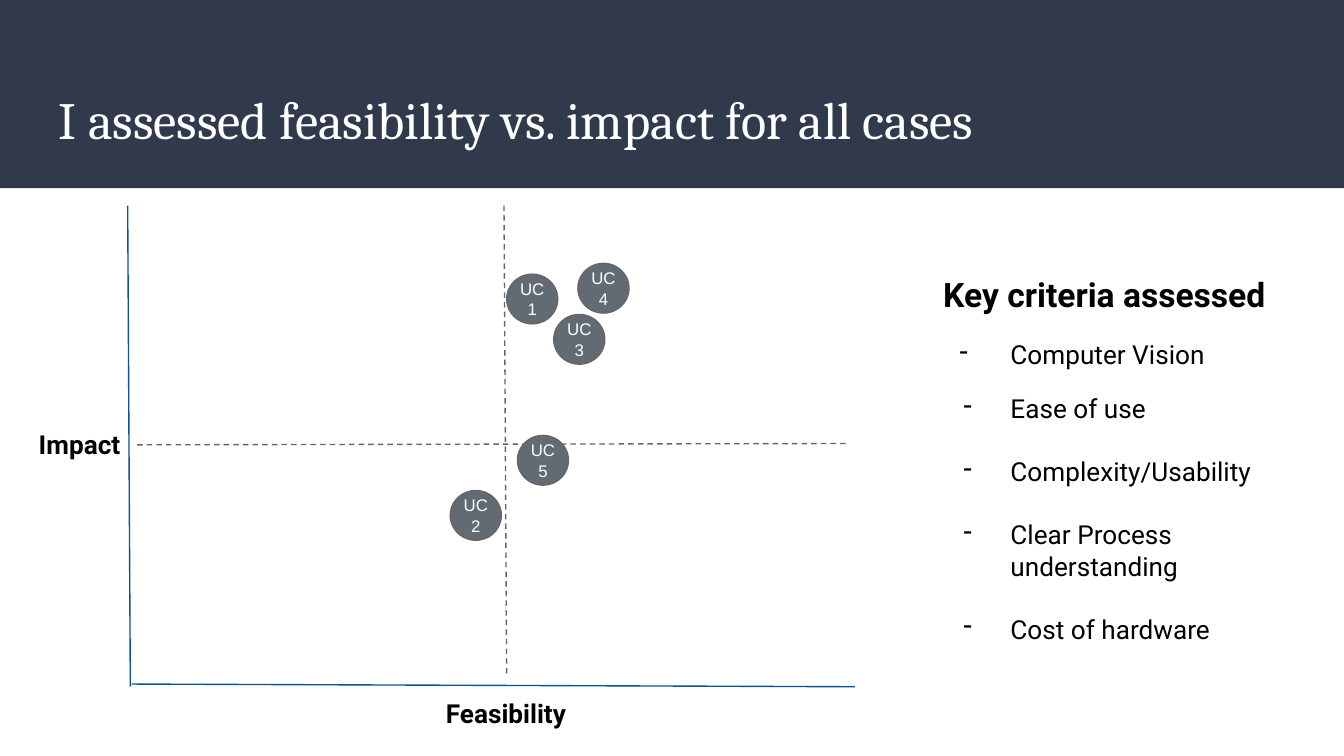
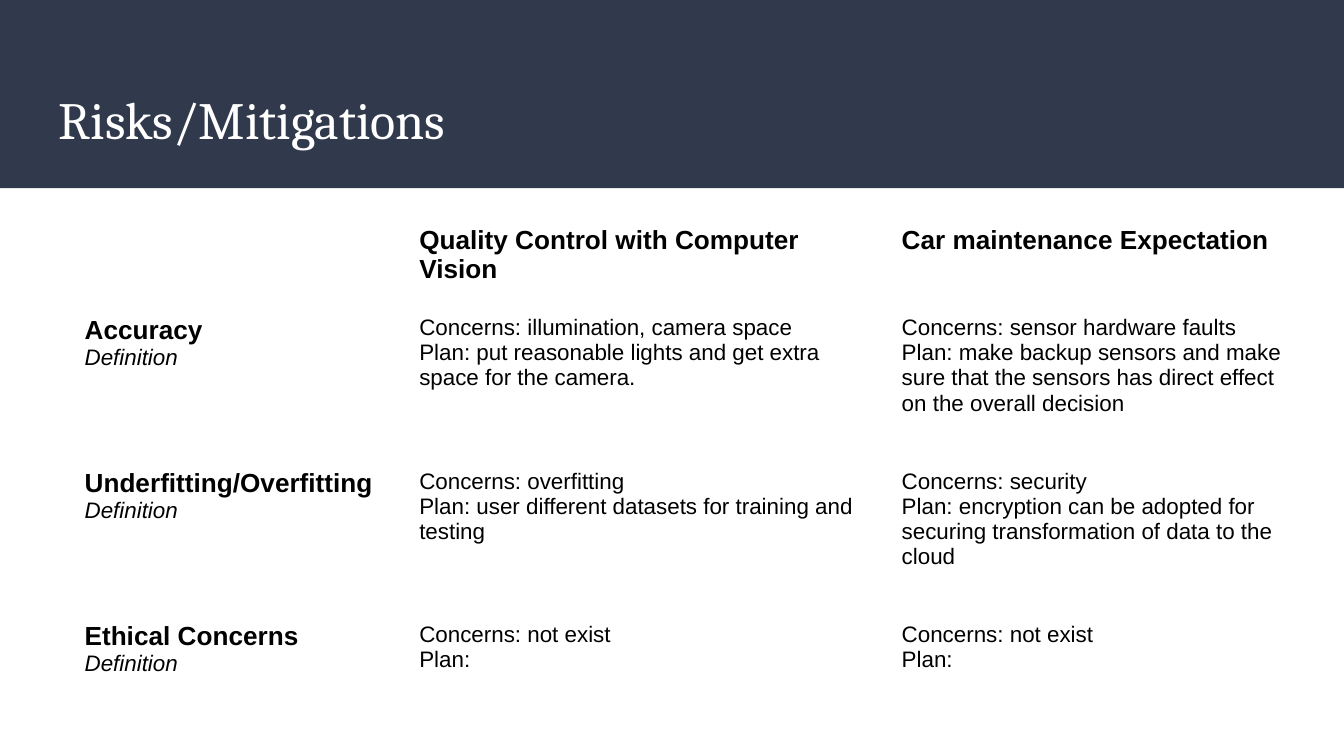
from pptx import Presentation
from pptx import util as u
from pptx.dml.color import RGBColor
from pptx.enum import dml, shapes, text
from pptx.oxml import xmlchemy
from pptx.oxml.ns import qn

NAVY = RGBColor(0x31, 0x39, 0x4D)
SLATE = RGBColor(0x62, 0x6B, 0x73)
GRAY = RGBColor(0x66, 0x66, 0x66)
BLUE = RGBColor(0x0B, 0x53, 0x94)
WHITE = RGBColor(0xFF, 0xFF, 0xFF)
BLACK = RGBColor(0x00, 0x00, 0x00)

COLUMNS, ROWS = 100, 56.25
WIDTH, HEIGHT = u.Inches(10), u.Inches(5.625)
INSET = 0.1

CENTER = text.PP_ALIGN.CENTER


def column(count):
    return round(WIDTH * count / COLUMNS)


def row(count):
    return round(HEIGHT * count / ROWS)


def write(frame, paragraphs, size=14, font="Arial", color=BLACK, bold=False,
          align=None, inset=INSET):
    if isinstance(paragraphs, str):
        paragraphs = [paragraphs]
    frame.word_wrap = True
    for side in ("left", "top", "right", "bottom"):
        setattr(frame, f"margin_{side}", u.Inches(inset))
    for index, content in enumerate(paragraphs):
        paragraph = frame.paragraphs[0] if index == 0 else frame.add_paragraph()
        paragraph.alignment = align
        lines = [content] if isinstance(content, str) else content
        for number, line in enumerate(lines):
            words, changes = (line, {}) if isinstance(line, str) else line
            if number:
                paragraph.add_line_break()
            run = paragraph.add_run()
            run.text = words
            run.font.name = font
            run.font.size = u.Pt(changes.get("size", size))
            run.font.bold = changes.get("bold", bold)
            run.font.italic = changes.get("italic", False)
            run.font.color.rgb = color


def add_dash(paragraph, hanging, space_before):
    paragraph.space_before = u.Pt(space_before)
    properties = paragraph._p.get_or_add_pPr()
    properties.set("marL", str(u.Inches(0.5)))
    properties.set("indent", str(-u.Inches(hanging)))
    bullet = xmlchemy.OxmlElement("a:buChar")
    bullet.set("char", "-")
    properties.append(bullet)


class Deck:
    def __init__(self):
        self.presentation = Presentation()
        self.presentation.slide_width = WIDTH
        self.presentation.slide_height = HEIGHT
        self.slide = None

    def start(self, title):
        layout = self.presentation.slide_layouts[6]
        self.slide = self.presentation.slides.add_slide(layout)
        self.shape(shapes.MSO_SHAPE.RECTANGLE, 0, 0, COLUMNS, 14, NAVY)
        self.label(title, 3.4, 5.5, 93.2, 6.8, size=28, font="Cambria", color=WHITE)

    def shape(self, kind, left, top, width, height, fill, outline=None):
        shape = self.slide.shapes.add_shape(
            kind, column(left), row(top), column(width), row(height))
        shape.shadow.inherit = False
        shape.fill.solid()
        shape.fill.fore_color.rgb = fill
        if outline is None:
            shape.line.fill.background()
        else:
            shape.line.color.rgb = outline
            shape.line.width = u.Pt(0.75)
        return shape

    def label(self, content, left, top, width, height, **style):
        box = self.slide.shapes.add_textbox(
            column(left), row(top), column(width), row(height))
        write(box.text_frame, content, **style)
        return box.text_frame

    def line(self, start, end, color, dashed=False):
        connector = self.slide.shapes.add_connector(
            shapes.MSO_CONNECTOR.STRAIGHT,
            column(start[0]), row(start[1]), column(end[0]), row(end[1]))
        connector.line.color.rgb = color
        connector.line.width = u.Pt(0.75)
        if dashed:
            connector.line.dash_style = dml.MSO_LINE.DASH
        properties = connector._element.find(qn("p:spPr"))
        properties.append(xmlchemy.OxmlElement("a:effectLst"))

    def bubble(self, content, left, top):
        shape = self.shape(shapes.MSO_SHAPE.OVAL, left, top, 3.8, 3.7, SLATE, GRAY)
        shape.text_frame.vertical_anchor = text.MSO_ANCHOR.MIDDLE
        write(shape.text_frame, [content], size=9, color=WHITE, align=CENTER, inset=0)

    def table(self, cells, left, top, widths, heights):
        table = self.slide.shapes.add_table(
            len(heights), len(widths), column(left), row(top),
            column(sum(widths)), row(sum(heights))).table
        table.first_row = table.horz_banding = False
        for index, width in enumerate(widths):
            table.columns[index].width = column(width)
        for index, height in enumerate(heights):
            table.rows[index].height = row(height)
        for i, line in enumerate(cells):
            for j, content in enumerate(line):
                cell = table.cell(i, j)
                cell.fill.background()
                for side in ("left", "top", "right", "bottom"):
                    setattr(cell, f"margin_{side}", u.Inches(INSET))
                if content:
                    heading = i == 0 or j == 0
                    write_cell(cell, content, 14 if heading else 12, heading)


def write_cell(cell, content, size, bold):
    frame = cell.text_frame
    write(frame, content, size=size, bold=bold)
    body = frame._txBody.find(qn("a:bodyPr"))
    body.attrib.clear()


def build_assessment(deck):
    deck.start("I assessed feasibility vs. impact for all cases")
    deck.line((37.5, 15.3), (37.7, 50.2), GRAY, dashed=True)
    deck.line((10.2, 33.1), (63.1, 33), GRAY, dashed=True)

    deck.label("Key criteria assessed", 69.2, 19.4, 31, 5,
               size=18, font="Roboto", bold=True)
    criteria = ["Computer Vision", "Ease of use", "Complexity/Usability",
                "Clear Process understanding", "Cost of hardware"]
    frame = deck.label(criteria, 69.2, 24.2, 27, 25, font="Roboto")
    for index, paragraph in enumerate(frame.paragraphs):
        add_dash(paragraph, 0.35 if index else 0.38,
                 (0, 12)[index] if index < 2 else 17)

    places = [(37.7, 20.4), (33.5, 36.5), (41.2, 23.4), (43, 19.6), (38.5, 32.4)]
    for number, (left, top) in enumerate(places, 1):
        deck.bubble(["UC", str(number)], left, top)

    deck.line((9.5, 15.3), (9.7, 51.1), BLUE)
    deck.line((63.6, 51.1), (9.8, 50.9), BLUE)
    deck.label("Impact", 1.9, 30.9, 8.3, 4.5, font="Roboto", bold=True)
    deck.label("Feasibility", 12.3, 50.9, 50.7, 4.5,
               font="Roboto", bold=True, align=CENTER)


def build_risks(deck):
    deck.start("Risks/Mitigations")
    definition = ("Definition", {"size": 12, "bold": False, "italic": True})
    risks = [
        ("Accuracy",
         ("illumination, camera space",
          " put reasonable lights and get extra space for the camera."),
         ("sensor hardware faults",
          " make backup sensors and make sure that the sensors has direct effect"
          " on the overall decision")),
        ("Underfitting/Overfitting",
         ("overfitting", " user different datasets for training and testing"),
         ("security", " encryption can be adopted for securing transformation of"
                      " data to the cloud")),
        ("Ethical Concerns", ("not exist", ""), ("not exist", "")),
    ]
    cells = [[None, "Quality Control with Computer Vision",
              "Car maintenance Expectation"]]
    for name, *cases in risks:
        cells.append([[[name, definition]]] + [
            [f"Concerns: {concern}", f"Plan:{plan}"] for concern, plan in cases])
    deck.table(cells, 5.3, 15.8, [24.9, 35.9, 30.4], [4.3] + [11.4] * 3)


def main():
    deck = Deck()
    build_assessment(deck)
    build_risks(deck)
    deck.presentation.save("out.pptx")


if __name__ == "__main__":
    main()
